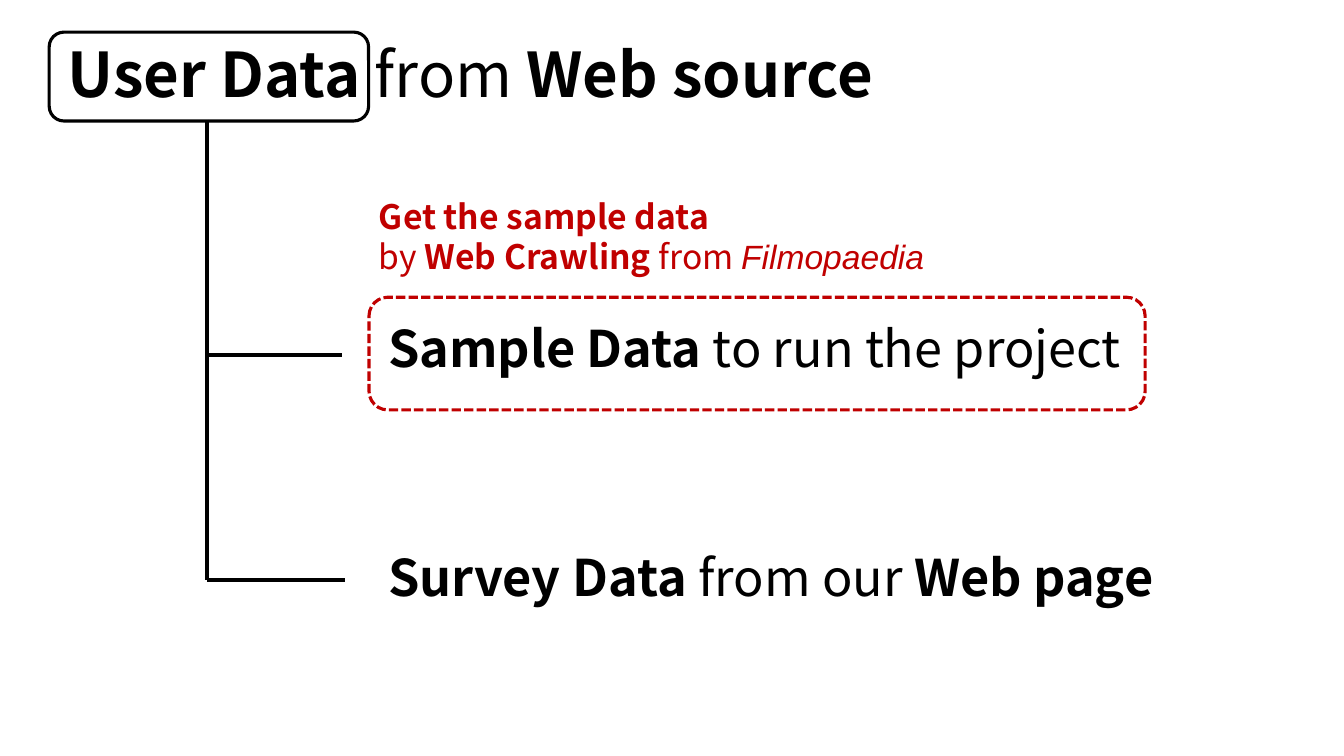
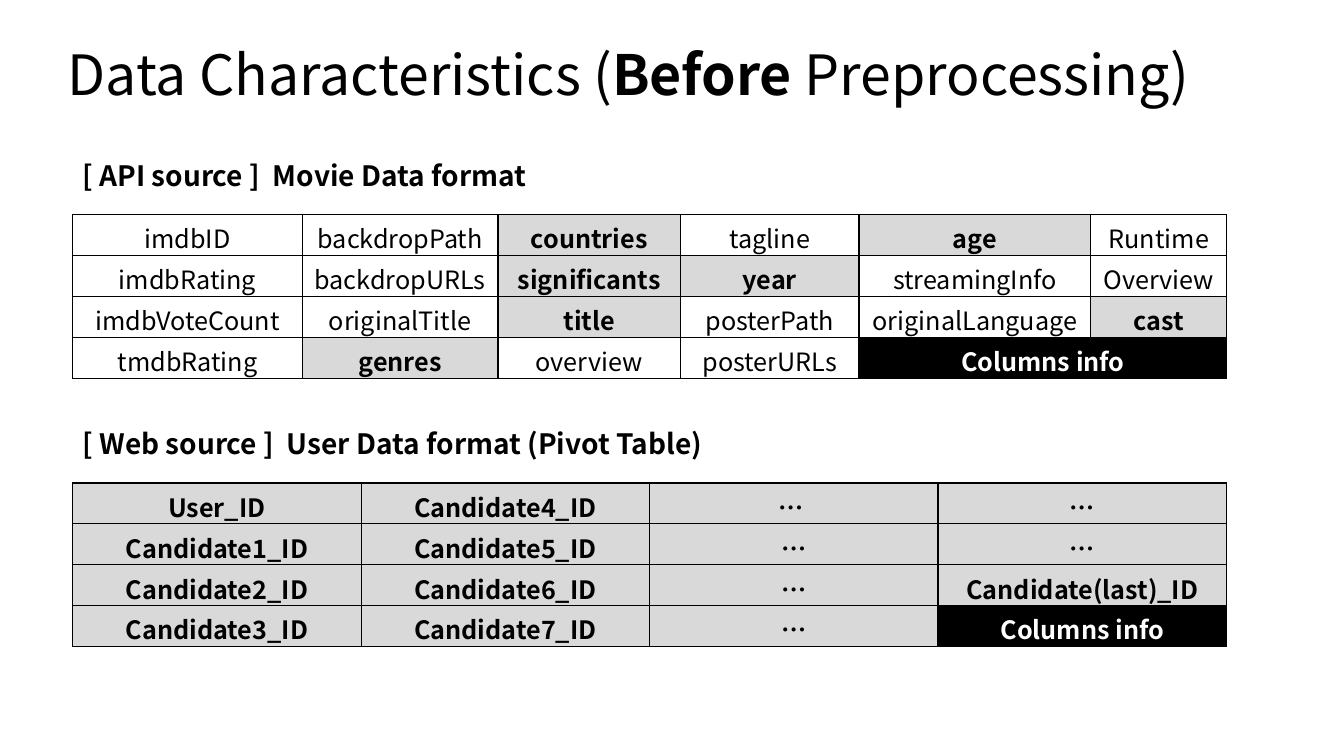
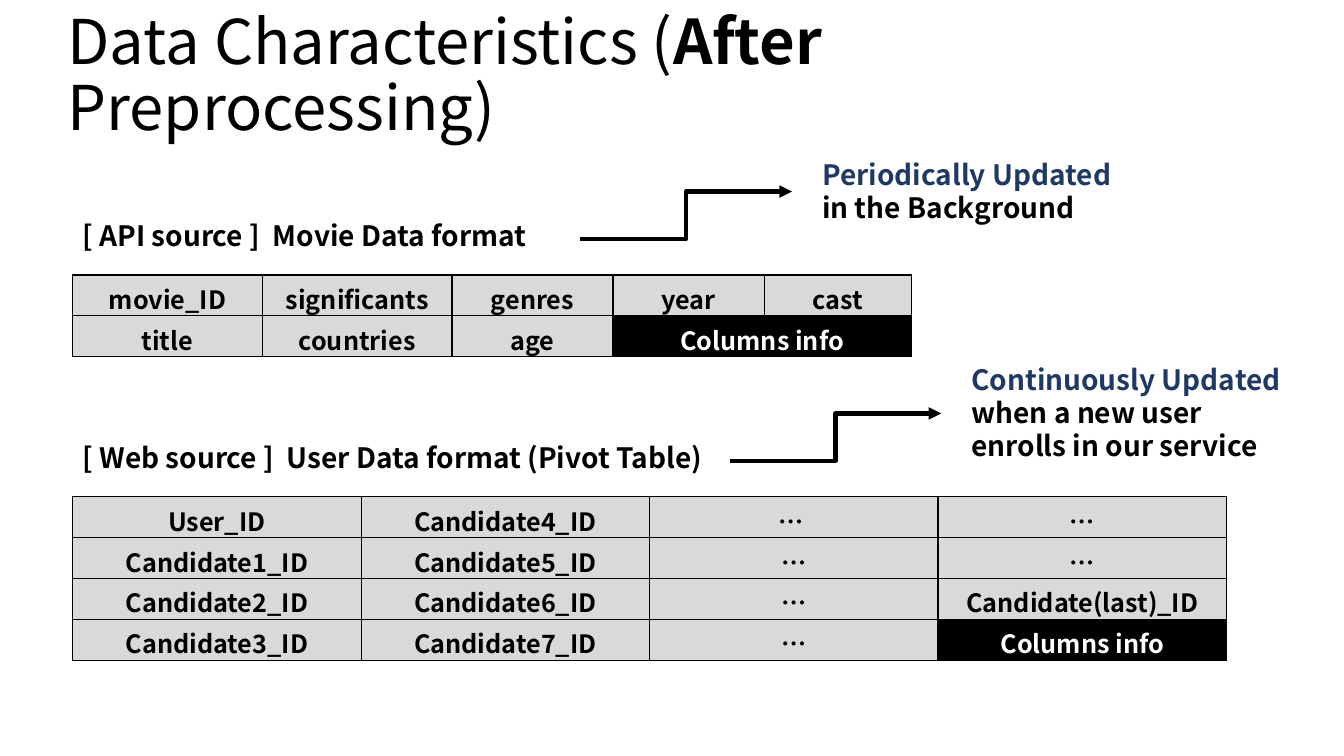
from pptx import Presentation
from pptx.dml.color import RGBColor
from pptx.enum.dml import MSO_LINE_DASH_STYLE as Dash
from pptx.enum.shapes import MSO_CONNECTOR_TYPE as Connector, MSO_SHAPE as Shape
from pptx.enum.text import MSO_AUTO_SIZE as AutoSize, MSO_VERTICAL_ANCHOR as Anchor, PP_ALIGN as Align
from pptx.oxml import parse_xml
from pptx.oxml.ns import nsdecls
from pptx.util import Cm, Pt

COLORS = {"ink": "000000", "paper": "FFFFFF", "kept": "D9D9D9", "accent": "C00000", "update": "203864"}
FONT = "Noto Sans CJK KR"
BOLD = {"bold": True}
TABLE_LEFT = 1.83
ROW_HEIGHT = 1.03
LABEL_GAP = 1.53
BODY_SPACING = 1.18
TITLE_SPACING = 1.07

MOVIE_BEFORE = [
    ["imdbID", "backdropPath", "countries", "tagline", "age", "Runtime"],
    ["imdbRating", "backdropURLs", "significants", "year", "streamingInfo", "Overview"],
    ["imdbVoteCount", "originalTitle", "title", "posterPath", "originalLanguage", "cast"],
    ["tmdbRating", "genres", "overview", "posterURLs", "Columns info", None],
]
MOVIE_AFTER = [
    ["movie_ID", "significants", "genres", "year", "cast"],
    ["title", "countries", "age", "Columns info", None],
]
USER_PIVOT = [
    ["User_ID", "Candidate4_ID", "… ", "…"],
    ["Candidate1_ID", "Candidate5_ID", "…", "…"],
    ["Candidate2_ID", "Candidate6_ID", "…", "Candidate(last)_ID"],
    ["Candidate3_ID", "Candidate7_ID", "…", "Columns info"],
]
KEPT_COLUMNS = {name for row in MOVIE_AFTER + USER_PIVOT for name in row}


def rgb(name):
    """Return a palette colour."""
    return RGBColor.from_string(COLORS[name])


def write(frame, paragraphs, size, color="ink", bold=False, align=Align.LEFT, spacing=None):
    """Fill a text frame with paragraphs, each a list of (text, format) runs."""
    for index, runs in enumerate(paragraphs):
        paragraph = frame.paragraphs[0] if index == 0 else frame.add_paragraph()
        paragraph.alignment = align
        if spacing:
            paragraph.line_spacing = Pt(round(size * spacing, 1))
        for text, extra in runs:
            run = paragraph.add_run()
            run.text = text
            run.font.size = Pt(size)
            run.font.name = extra.get("font", FONT)
            run.font.bold = extra.get("bold", bold)
            run.font.italic = extra.get("italic", False)
            run.font.color.rgb = rgb(extra.get("color", color))


def add_title_slide(deck, runs, size=44, width=30.43):
    """Add a title-only slide with its title placed and formatted."""
    slide = deck.slides.add_slide(deck.slide_layouts[5])
    title = slide.shapes.title
    title.left, title.top, title.width, title.height = Cm(1.45), Cm(0.89), Cm(width), Cm(2.11)
    frame = title.text_frame
    frame.auto_size = AutoSize.NONE
    frame.word_wrap = True
    frame.vertical_anchor = Anchor.MIDDLE
    write(frame, [runs], size, spacing=TITLE_SPACING)
    return slide


def add_text(slide, left, top, width, height, paragraphs, size, anchor=Anchor.TOP, **style):
    """Add a wrapping text box."""
    frame = slide.shapes.add_textbox(Cm(left), Cm(top), Cm(width), Cm(height)).text_frame
    frame.word_wrap = True
    frame.vertical_anchor = anchor
    write(frame, paragraphs, size, **{"spacing": BODY_SPACING, **style})


def add_frame(slide, left, top, width, height, color="ink", dash=None):
    """Add an unfilled rounded outline."""
    outline = slide.shapes.add_shape(Shape.ROUNDED_RECTANGLE, Cm(left), Cm(top), Cm(width), Cm(height))
    outline.shadow.inherit = False
    outline.fill.background()
    outline.line.color.rgb = rgb(color)
    outline.line.width = Pt(2.25)
    if dash:
        outline.line.dash_style = dash


def add_line(slide, start, end, kind=Connector.STRAIGHT, arrow=False):
    """Add a thick connector, with an arrowhead at its end on request."""
    points = [Cm(value) for value in (*start, *end)]
    connector = slide.shapes.add_connector(kind, *points)
    connector.line.color.rgb = rgb("ink")
    connector.line.width = Pt(3)
    if arrow:
        connector.line._get_or_add_ln().append(parse_xml(f'<a:tailEnd {nsdecls("a")} type="triangle"/>'))
    connector._element.spPr.append(parse_xml(f'<a:effectLst {nsdecls("a")}/>'))


def add_borders(cell):
    """Draw a thin border on all four sides of a cell."""
    properties = cell._tc.get_or_add_tcPr()
    for side in ("lnL", "lnR", "lnT", "lnB"):
        properties.append(parse_xml(
            f'<a:{side} {nsdecls("a")} w="12700"><a:solidFill>'
            f'<a:srgbClr val="{COLORS["ink"]}"/></a:solidFill></a:{side}>'))


def add_columns_table(slide, top, label, rows, widths, bottom_margin=0.13):
    """Add a labelled table of column names, with the kept ones highlighted."""
    add_text(slide, TABLE_LEFT, top - LABEL_GAP, 17.22, 1.12, [[(label, BOLD)]], 20)
    table = slide.shapes.add_table(
        len(rows), len(widths), Cm(TABLE_LEFT), Cm(top), Cm(sum(widths)), Cm(ROW_HEIGHT * len(rows))).table
    table.first_row = table.horz_banding = False
    for column, width in zip(table.columns, widths):
        column.width = Cm(width)
    for r, names in enumerate(rows):
        table.rows[r].height = Cm(ROW_HEIGHT)
        for c, name in enumerate(names):
            cell = table.cell(r, c)
            add_borders(cell)
            if name is None:
                table.cell(r, c - 1).merge(cell)
                continue
            cell.margin_bottom = Cm(bottom_margin)
            legend, kept = name == "Columns info", name in KEPT_COLUMNS
            if kept:
                cell.fill.solid()
                cell.fill.fore_color.rgb = rgb("ink" if legend else "kept")
            else:
                cell.fill.background()
            write(cell.text_frame, [[(name, {})]], 18, color="paper" if legend else "ink",
                  bold=kept, align=Align.CENTER)


def add_pivot_table(slide, top):
    """Add the user data table."""
    add_columns_table(slide, top, "[ Web source ]  User Data format (Pivot Table)", USER_PIVOT, [7.27] * 4)


def add_update_note(slide, left, top, headline, *details):
    """Add an elbow arrow that leads to a note centred on its tip."""
    tip_x, tip_y = left + 5.33, top - 1.19
    add_line(slide, (left, top), (tip_x, tip_y), Connector.ELBOW, arrow=True)
    lines = [[(headline, {"color": "update"})]] + [[(detail, {})] for detail in details]
    height = 0.25 + 0.85 * len(lines)
    add_text(slide, tip_x + 0.51, tip_y - height / 2, 9.86, height, lines, 20, bold=True)


def build_user_data(deck):
    """Build the tree of user data sources."""
    slide = add_title_slide(
        deck, [("User Data ", BOLD), ("from ", {}), ("Web source", BOLD)], width=23.29)
    trunk, sample_y, survey_y = 5.21, 8.94, 14.61
    add_line(slide, (trunk, 3.02), (trunk, survey_y))
    add_line(slide, (trunk, survey_y), (8.69, survey_y))
    add_line(slide, (trunk, sample_y), (8.61, sample_y))
    add_frame(slide, 1.24, 0.81, 8.05, 2.24)
    branches = [
        (7.77, [("Sample Data", BOLD), (" to run the project", {})]),
        (13.56, [("Survey Data", BOLD), (" from our ", {}), ("Web page", BOLD)]),
    ]
    for top, runs in branches:
        add_text(slide, 9.53, top, 23.29, 2.11, [runs], 36, anchor=Anchor.MIDDLE, spacing=TITLE_SPACING)
    add_frame(slide, 9.3, 7.49, 19.56, 2.84, color="accent", dash=Dash.SQUARE_DOT)
    crawling = [
        [("Get the sample data", BOLD)],
        [("by ", {}), ("Web Crawling", BOLD), (" from ", {}),
         ("Filmopaedia", {"font": "Arial", "italic": True})],
    ]
    add_text(slide, 9.3, 4.83, 21.13, 2.31, crawling, 24, color="accent")


def build_before(deck):
    """Build the column overview before preprocessing."""
    slide = add_title_slide(
        deck, [("Data Characteristics (", {}), ("Before", BOLD), (" Preprocessing)", {})], size=39.6)
    add_columns_table(slide, 5.41, "[ API source ]  Movie Data format", MOVIE_BEFORE,
                      [5.79, 4.93, 4.6, 4.5, 5.84, 3.43])
    add_pivot_table(slide, 12.17)


def build_after(deck):
    """Build the column overview after preprocessing."""
    slide = add_title_slide(
        deck, [("Data Characteristics (", {}), ("After", BOLD), (" Preprocessing)", {})])
    add_columns_table(slide, 6.93, "[ API source ]  Movie Data format", MOVIE_AFTER,
                      [4.78, 4.78, 4.06, 3.81, 3.71], bottom_margin=0)
    add_pivot_table(slide, 12.52)
    add_update_note(slide, 14.63, 6.02, "Periodically Updated", "in the Background")
    add_update_note(slide, 18.39, 11.61, "Continuously Updated", "when a new user", "enrolls in our service")


def main():
    """Build and save the deck."""
    deck = Presentation()
    deck.slide_width, deck.slide_height = Cm(33.87), Cm(19.05)
    build_user_data(deck)
    build_before(deck)
    build_after(deck)
    deck.save("out.pptx")


if __name__ == "__main__":
    main()
